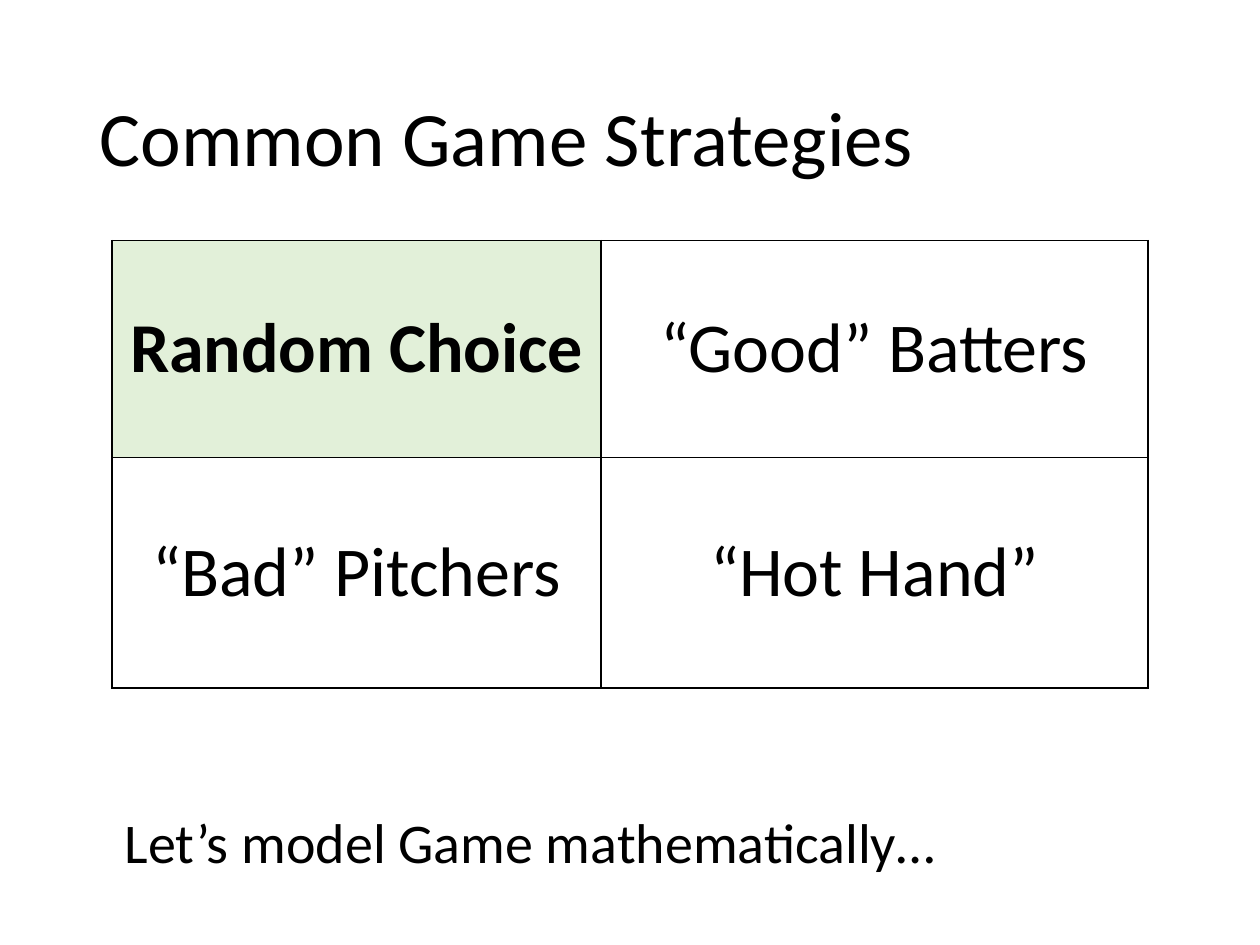
from lxml.etree import SubElement
from pptx import Presentation
from pptx.dml.color import RGBColor
from pptx.enum.text import MSO_ANCHOR, MSO_AUTO_SIZE, PP_ALIGN
from pptx.oxml.ns import qn
from pptx.util import Inches, Pt

COLORS = {"text": "000000", "border": "000000", "highlight": "E2F0D9"}


def add_run(p, text, size, bold=False):
    r = p.add_run()
    r.text = text
    r.font.name = "Calibri"
    r.font.size = Pt(size)
    r.font.bold = bold
    r.font.color.rgb = RGBColor.from_string(COLORS["text"])


def set_borders(cell):
    """Put a 1 pt line on all four sides; call before setting the cell's fill."""
    tc_pr = cell._tc.get_or_add_tcPr()
    for side in ("a:lnL", "a:lnR", "a:lnT", "a:lnB"):
        ln = SubElement(tc_pr, qn(side), w=str(Pt(1)))
        fill = SubElement(ln, qn("a:solidFill"))
        SubElement(fill, qn("a:srgbClr"), val=COLORS["border"])


prs = Presentation()
prs.slide_width, prs.slide_height = Inches(10), Inches(7.5)
s = prs.slides.add_slide(prs.slide_layouts[5])

# Title
title = s.shapes.title
title.left, title.top = Inches(0.69), Inches(0.4)
title.width, title.height = Inches(8.62), Inches(1.45)
tf = title.text_frame
tf.vertical_anchor = MSO_ANCHOR.MIDDLE
p = tf.paragraphs[0]
p.alignment = PP_ALIGN.LEFT
p.line_spacing = 0.9
add_run(p, "Common Game Strategies", 44)

# Closing line
closing = s.shapes.add_textbox(Inches(0.89), Inches(6.36), Inches(8.38), Inches(0.64))
tf = closing.text_frame
tf.word_wrap = True
tf.auto_size = MSO_AUTO_SIZE.SHAPE_TO_FIT_TEXT
add_run(tf.paragraphs[0], "Let’s model Game mathematically…", 32)

# Strategy table
strategies = [
    ["Random Choice", "“Good” Batters"],
    ["“Bad” Pitchers", "“Hot Hand”"],
]
highlighted = "Random Choice"
table = s.shapes.add_table(
    2, 2, Inches(0.89), Inches(1.91), Inches(8.22), Inches(3.55)
).table
table.first_row = table.horz_banding = False
for column, width in zip(table.columns, (3.88, 4.34)):
    column.width = Inches(width)
for row, height in zip(table.rows, (1.72, 1.83)):
    row.height = Inches(height)

for row, names in zip(table.rows, strategies):
    for cell, name in zip(row.cells, names):
        set_borders(cell)
        cell.vertical_anchor = MSO_ANCHOR.MIDDLE
        if name == highlighted:
            cell.fill.solid()
            cell.fill.fore_color.rgb = RGBColor.from_string(COLORS["highlight"])
        else:
            cell.fill.background()
        p = cell.text_frame.paragraphs[0]
        p.alignment = PP_ALIGN.CENTER
        add_run(p, name, 40, bold=name == highlighted)

prs.save("out.pptx")
